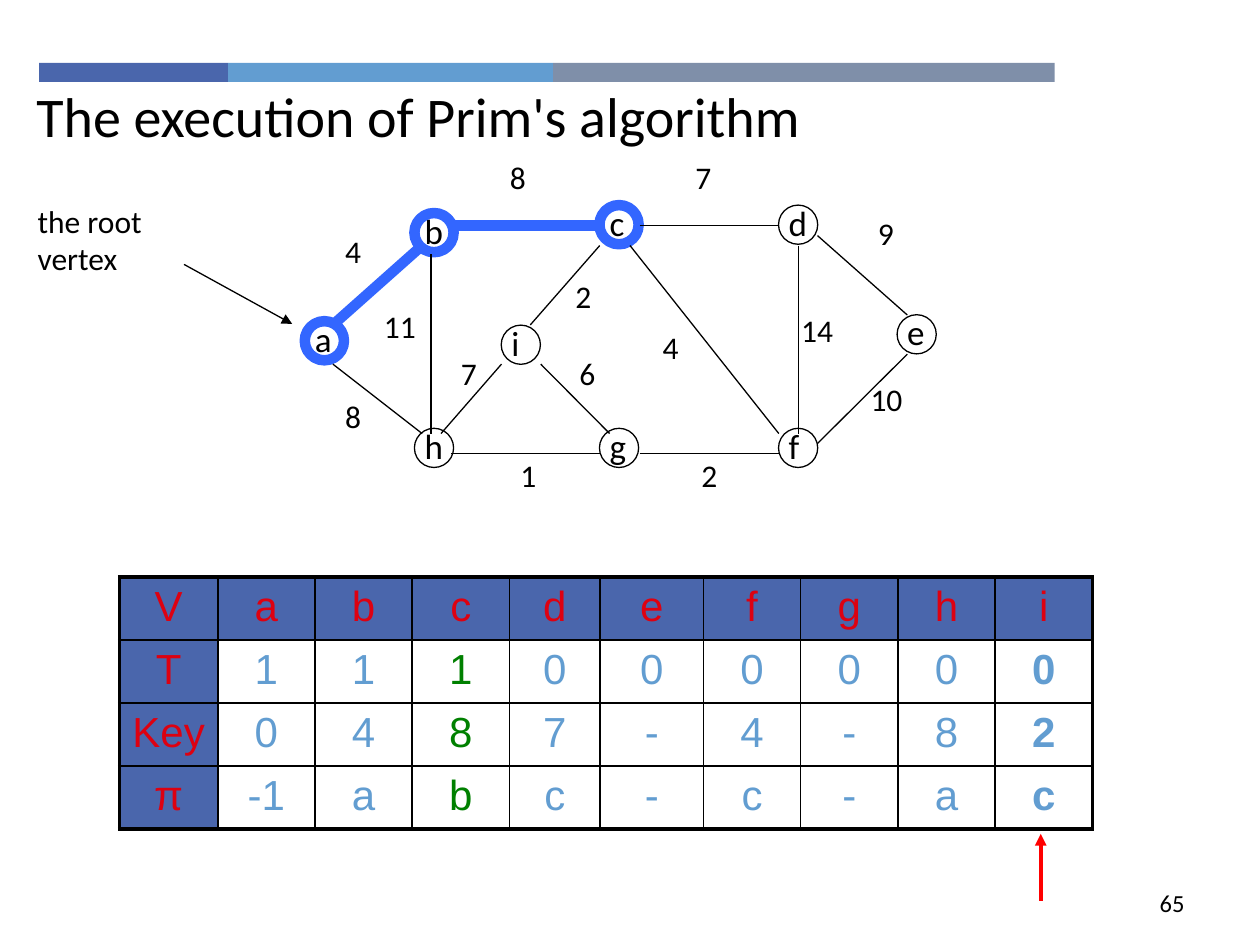
from dataclasses import dataclass

from lxml import etree
from pptx import Presentation
from pptx.dml.color import RGBColor
from pptx.enum.shapes import MSO_CONNECTOR, MSO_SHAPE
from pptx.enum.text import MSO_ANCHOR, MSO_AUTO_SIZE, PP_ALIGN
from pptx.oxml import parse_xml
from pptx.oxml.ns import nsdecls, qn
from pptx.util import Cm, Pt

LEFT, CENTER, RIGHT = PP_ALIGN.LEFT, PP_ALIGN.CENTER, PP_ALIGN.RIGHT
TOP, NO_AUTOSIZE = MSO_ANCHOR.TOP, MSO_AUTO_SIZE.NONE
STRAIGHT, OVAL, RECTANGLE = MSO_CONNECTOR.STRAIGHT, MSO_SHAPE.OVAL, MSO_SHAPE.RECTANGLE
TITLE_ONLY = 5


@dataclass(frozen=True)
class Theme:
    font: str = "Calibri"
    table_font: str = "Arial"
    ink: str = "000000"
    navy: str = "4A66AC"
    sky: str = "629DD1"
    slate: str = "7F8FA9"
    tree: str = "3366FF"
    heading: str = "DD0111"
    current: str = "008000"
    pointer: str = "FF0000"
    title_size: int = 32
    table_size: int = 24
    node_size: int = 20
    label_size: int = 18
    number_size: int = 14
    thin: float = 0.75
    thick: float = 6
    grid: float = 1
    frame: float = 2.25


THEME = Theme()

# Content; all positions and lengths are in centimetres
TITLE = "The execution of Prim's algorithm"
ROOT_NOTE = "the root vertex"
SLIDE_NUMBER = "65"
BANNER = [(3.81, THEME.navy), (6.55, THEME.sky), (10.11, THEME.slate)]

NODE_CENTERS = {
    "a": (6.54, 6.87), "b": (8.75, 4.69), "h": (8.75, 9.03),
    "c": (12.48, 4.53), "d": (16.09, 4.53), "e": (18.48, 6.74),
    "f": (16.09, 9.03), "g": (12.48, 9.03), "i": (10.5, 6.95),
}
TREE_NODES = "abc"
NODE_DIAMETER = 0.79

# edge: start, end, weight, weight position
EDGES = {
    "ab": ((6.71, 6.55), (8.51, 4.95), "4", (6.71, 4.55)),
    "ah": ((6.71, 7.34), (8.51, 8.74), "8", (6.71, 7.87)),
    "bh": ((8.69, 5.13), (8.69, 8.74), "11", (7.49, 6.07)),
    "bc": ((9.09, 4.55), (12.09, 4.55), "8", (10.03, 3.07)),
    "hg": ((9.09, 9.14), (12.09, 9.14), "1", (10.24, 9.07)),
    "gf": ((12.9, 9.14), (15.7, 9.14), "2", (13.89, 9.07)),
    "cf": ((12.7, 4.95), (15.7, 8.74), "4", (13.11, 6.48)),
    "cd": ((12.9, 4.55), (15.7, 4.55), "7", (13.77, 3.07)),
    "df": ((16.1, 4.95), (16.1, 8.74), "14", (15.9, 6.15)),
    "de": ((16.48, 4.75), (18.29, 6.35), "9", (17.45, 4.19)),
    "fe": ((16.48, 8.94), (18.29, 7.14), "10", (17.3, 7.54)),
    "ig": ((10.9, 7.34), (12.29, 8.74), "6", (11.43, 7.01)),
    "hi": ((8.89, 8.74), (10.11, 7.34), "7", (9.04, 7.01)),
    "ic": ((10.69, 6.55), (12.09, 4.95), "2", (11.35, 5.46)),
}
TREE_EDGES = ("ab", "bc")

STATE = [
    ["V", "a", "b", "c", "d", "e", "f", "g", "h", "i"],
    ["T", "1", "1", "1", "0", "0", "0", "0", "0", "0"],
    ["Key", "0", "4", "8", "7", "-", "4", "-", "8", "2"],
    ["π", "-1", "a", "b", "c", "-", "c", "-", "a", "c"],
]
COLUMN_WIDTHS = [1.98, 1.96, 1.96, 1.96, 1.83, 2.08, 1.96, 1.96, 1.96, 1.96]
ROW_HEIGHT = 1.27
CURRENT_COLUMN, NEXT_COLUMN = STATE[0].index("c"), STATE[0].index("i")


def rgb(color):
    return RGBColor.from_string(color)


def style_text(frame, size, color=THEME.ink, font=THEME.font, align=LEFT, bold=False):
    for paragraph in frame.paragraphs:
        paragraph.alignment = align
        for run in paragraph.runs:
            run.font.name, run.font.size = font, Pt(size)
            run.font.bold, run.font.color.rgb = bold, rgb(color)


def add_text(slide, text, left, top, width, height, size, align=LEFT):
    frame = slide.shapes.add_textbox(Cm(left), Cm(top), Cm(width), Cm(height)).text_frame
    frame.word_wrap = True
    frame.text = text
    style_text(frame, size, align=align)


def add_line(slide, start, end, color=THEME.ink, weight=THEME.thin, arrow=False):
    line = slide.shapes.add_connector(STRAIGHT, *map(Cm, start + end))
    line.line.color.rgb, line.line.width = rgb(color), Pt(weight)
    if arrow:
        etree.SubElement(line.line._get_or_add_ln(), qn("a:tailEnd"), type="triangle")
    etree.SubElement(line._element.spPr, qn("a:effectLst"))


def add_banner(slide):
    left = 0.79
    for width, color in BANNER:
        bar = slide.shapes.add_shape(RECTANGLE, Cm(left), Cm(1.27), Cm(width), Cm(0.38))
        bar.shadow.inherit = False
        bar.fill.solid()
        bar.fill.fore_color.rgb = rgb(color)
        bar.line.fill.background()
        left += width


def add_title(slide):
    title = slide.shapes.title
    title.left, title.top, title.width, title.height = Cm(0.48), Cm(1.52), Cm(21.79), Cm(1.6)
    frame = title.text_frame
    frame.text = TITLE
    frame.auto_size, frame.vertical_anchor = NO_AUTOSIZE, TOP
    style_text(frame, THEME.title_size)


def add_graph(slide):
    for name, (x, y) in NODE_CENTERS.items():
        add_text(slide, name, x - 0.44, y - 0.6, 0.92, 1.09, THEME.node_size)
        corner = Cm(x - NODE_DIAMETER / 2), Cm(y - NODE_DIAMETER / 2)
        node = slide.shapes.add_shape(OVAL, *corner, Cm(NODE_DIAMETER), Cm(NODE_DIAMETER))
        node.shadow.inherit = False
        node.fill.background()
        in_tree = name in TREE_NODES
        node.line.color.rgb = rgb(THEME.tree if in_tree else THEME.ink)
        node.line.width = Pt(THEME.thick if in_tree else THEME.thin)

    for name, (start, end, weight, (x, y)) in EDGES.items():
        if name in TREE_EDGES:
            add_line(slide, start, end, THEME.tree, THEME.thick)
        else:
            add_line(slide, start, end)
        width = 0.86 if len(weight) == 1 else 1.22
        add_text(slide, weight, x, y, width, 1.02, THEME.label_size)


def set_borders(cell, on_frame):
    properties = cell._tc.get_or_add_tcPr()
    for side in ("L", "R", "T", "B"):
        width = Pt(THEME.frame if on_frame[side] else THEME.grid)
        properties.append(parse_xml(
            f'<a:ln{side} {nsdecls("a")} w="{width}"><a:solidFill>'
            f'<a:srgbClr val="{THEME.ink}"/></a:solidFill></a:ln{side}>'))


def add_state_table(slide):
    rows, columns = len(STATE), len(STATE[0])
    table = slide.shapes.add_table(rows, columns, Cm(2.41), Cm(11.63),
                                   Cm(sum(COLUMN_WIDTHS)), Cm(rows * ROW_HEIGHT)).table
    table.first_row = table.horz_banding = False
    for column, width in zip(table.columns, COLUMN_WIDTHS):
        column.width = Cm(width)
    for r, values in enumerate(STATE):
        table.rows[r].height = Cm(ROW_HEIGHT)
        for c, value in enumerate(values):
            cell = table.cell(r, c)
            set_borders(cell, {"L": c == 0, "R": c == columns - 1,
                               "T": r == 0, "B": r == rows - 1})
            is_heading = r == 0 or c == 0
            if is_heading:
                cell.fill.solid()
                cell.fill.fore_color.rgb = rgb(THEME.navy)
                color = THEME.heading
            else:
                cell.fill.background()
                color = THEME.current if c == CURRENT_COLUMN else THEME.sky
            cell.text_frame.text = value
            style_text(cell.text_frame, THEME.table_size, color, THEME.table_font, CENTER,
                       bold=c == NEXT_COLUMN and not is_heading)


def main():
    deck = Presentation()
    deck.slide_width, deck.slide_height = Cm(25.4), Cm(19.05)
    slide = deck.slides.add_slide(deck.slide_layouts[TITLE_ONLY])

    # Heading and page number
    add_banner(slide)
    add_title(slide)
    add_text(slide, SLIDE_NUMBER, 18.21, 17.78, 5.92, 0.89, THEME.number_size, RIGHT)

    # Root note with its arrow
    add_text(slide, ROOT_NOTE, 0.51, 3.94, 3.4, 2.29, THEME.label_size)
    add_line(slide, (3.71, 5.33), (5.89, 6.53), arrow=True)

    # State table, graph, and pointer to the next vertex
    add_state_table(slide)
    add_graph(slide)
    add_line(slide, (20.98, 18.16), (20.98, 16.81), THEME.pointer, THEME.frame, arrow=True)

    deck.save("out.pptx")


if __name__ == "__main__":
    main()
